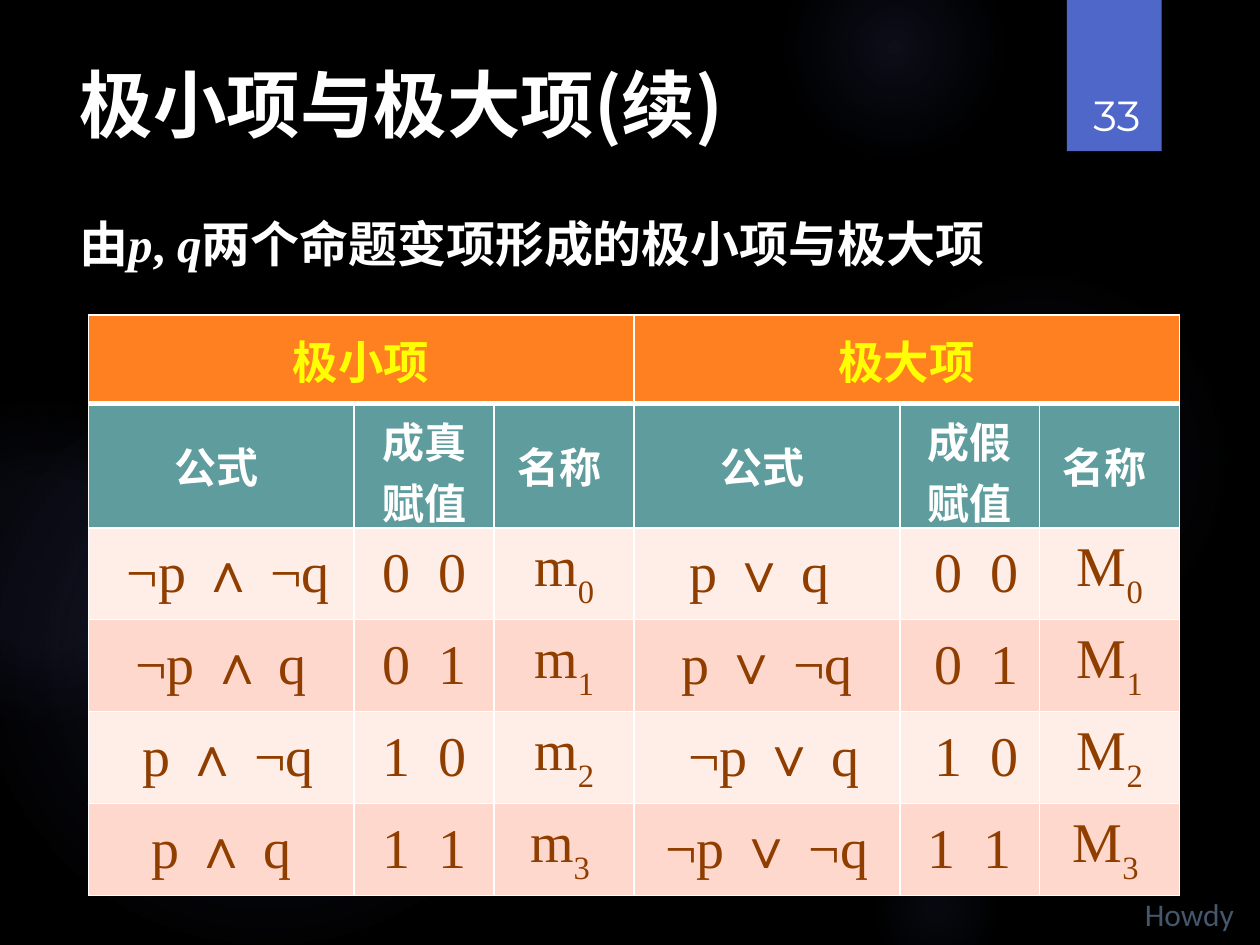
from lxml import etree
from pptx import Presentation
from pptx import util as u
from pptx.dml.color import RGBColor
from pptx.enum import shapes, text
from pptx.oxml import ns

Cm, Pt = u.Cm, u.Pt
hues = {"black": "000000", "white": "FFFFFF", "glow": "5968B0", "tag": "4E67C8",
        "foot": "45576C", "head": "FF8021", "gold": "FFFF00", "teal": "5F9C9D",
        "light": "FFEDE8", "dark": "FFD8CD", "brown": "903E00"}
cjk = "Noto Sans CJK SC"
serif = "Times New Roman"


def put(para, words, size, face, hue, bold=False, slant=False):
    run = para.add_run()
    run.text = words
    font = run.font
    font.size, font.name, font.bold, font.italic = Pt(size), face, bold, slant
    font.color.rgb = RGBColor.from_string(hues[hue])
    props = run._r.get_or_add_rPr()
    etree.SubElement(props, ns.qn("a:ea")).set("typeface", cjk)
    return props


def box(x, y, w, h, wrap=True):
    frame = slide.shapes.add_textbox(Cm(x), Cm(y), Cm(w), Cm(h)).text_frame
    frame.word_wrap = wrap
    return frame


prs = Presentation()
prs.slide_width, prs.slide_height = Cm(25.4), Cm(19.05)
slide = prs.slides.add_slide(prs.slide_layouts[5])
back = slide.background.fill
back.solid()
back.fore_color.rgb = RGBColor.from_string(hues["black"])

glows = [(17.02, 5.38, 7.82, 7, 7, 69), (15.8, -1.27, 4.45, 14, 7, 73),
         (17.5, 16.94, 2.74, 9, 5, 66), (-0.43, 7.42, 11.63, 11, 10, 75),
         (-2.34, 8.05, 6.55, 8, 8, 72)]
for x, y, size, core, mid, edge in glows:
    orb = slide.shapes.add_shape(shapes.MSO_SHAPE.OVAL, Cm(x), Cm(y), Cm(size), Cm(size))
    orb.shadow.inherit = False
    orb.line.fill.background()
    stops = "".join(
        f'<a:gs pos="{pos * 1000}"><a:srgbClr val="{hues["glow"]}">'
        f'<a:alpha val="{alpha * 1000}"/></a:srgbClr></a:gs>'
        for pos, alpha in [(0, core), (36, mid), (edge, 0)])
    grad = etree.fromstring(
        f'<a:gradFill {ns.nsdecls("a")} rotWithShape="1"><a:gsLst>{stops}</a:gsLst>'
        '<a:path path="circle"><a:fillToRect l="50000" t="50000" r="50000" b="50000"/>'
        '</a:path></a:gradFill>')
    orb._element.spPr.find(ns.qn("a:prstGeom")).addnext(grad)

tag = slide.shapes.add_shape(shapes.MSO_SHAPE.RECTANGLE, Cm(21.51), Cm(0), Cm(1.91), Cm(3.05))
tag.shadow.inherit = False
tag.fill.solid()
tag.fill.fore_color.rgb = RGBColor.from_string(hues["tag"])
tag.line.fill.background()

foot = box(22.83, 17.91, 2.57, 1.02, False)
put(foot.paragraphs[0], "Howdy", 18, "Calibri", "foot")

title = slide.shapes.title
title.left, title.top, title.width, title.height = Cm(1.35), Cm(1.27), Cm(19.61), Cm(2.54)
title.text_frame.vertical_anchor = text.MSO_ANCHOR.TOP
para = title.text_frame.paragraphs[0]
para.alignment = text.PP_ALIGN.LEFT
para.line_spacing = 0.9
put(para, "极小项与极大项(续)", 42, cjk, "white", True)
slide.shapes._spTree.append(title._element)

para = box(1.35, 4.32, 23.52, 14.15).paragraphs[0]
para.line_spacing = 0.9
for words, face, slant in [("由", cjk, False), ("p", serif, True), (", ", serif, False),
                           ("q", serif, True), ("两个命题变项形成的极小项与极大项", cjk, False)]:
    put(para, words, 28, face, "white", True, slant)

page = box(21.64, 0.81, 1.75, 2.13)
page.vertical_anchor = text.MSO_ANCHOR.BOTTOM
page.paragraphs[0].alignment = text.PP_ALIGN.CENTER
put(page.paragraphs[0], "33", 24, "Montserrat", "white")

grid = slide.shapes.add_table(6, 6, Cm(1.78), Cm(6.35), Cm(22), Cm(11.49)).table
for col, width in zip(grid.columns, [5.36, 2.82, 2.82] * 2):
    col.width = Cm(width)
for row, height in zip(grid.rows, [1.78, 2.51] + [1.8] * 4):
    row.height = Cm(height)

fills = ["head", "teal"] + ["light", "dark"] * 2
for r, row in enumerate(grid.rows):
    for cell in row.cells:
        cell.fill.solid()
        cell.fill.fore_color.rgb = RGBColor.from_string(hues[fills[r]])
        cell.vertical_anchor = text.MSO_ANCHOR.MIDDLE
        cell.text_frame.paragraphs[0].alignment = text.PP_ALIGN.CENTER
        if r == 0:
            cell.margin_top = cell.margin_bottom = 0
        for i, side in enumerate("LRTB"):
            thick = 3 if (r, side) in [(0, "B"), (1, "T")] else 1
            edge = etree.fromstring(
                f'<a:ln{side} {ns.nsdecls("a")} w="{Pt(thick)}"><a:solidFill>'
                f'<a:srgbClr val="{hues["white"]}"/></a:solidFill></a:ln{side}>')
            cell._tc.get_or_add_tcPr().insert(i, edge)

halves = [
    (0, "极小项", "成真赋值", "m", [" ¬p ∧ ¬q", "¬p ∧ q", " p ∧ ¬q", "p ∧ q"],
     ["00", "01", "10", "11"]),
    (3, "极大项", "成假赋值", "M", ["p ∨ q ", "p ∨ ¬q", " ¬p ∨ q", " ¬p ∨ ¬q "],
     [" 00", " 01", " 10", " 11 "])]
for left, name, value, sign, terms, codes in halves:
    grid.cell(0, left).merge(grid.cell(0, left + 2))
    put(grid.cell(0, left).text_frame.paragraphs[0], name, 26, "Arial", "gold", True)
    for i, words in enumerate(["公式 ", value, "名称 "]):
        put(grid.cell(1, left + i).text_frame.paragraphs[0], words, 24,
            "TeX Gyre Adventor", "white", True)
    for i, (term, code) in enumerate(zip(terms, codes)):
        form, bits, mark = [grid.cell(i + 2, left + k).text_frame.paragraphs[0]
                            for k in range(3)]
        put(form, term, 32, serif, "brown")
        cut = code.index(code.strip()) + 1
        put(bits, code[:cut], 32, serif, "brown")
        put(bits, " ", 32, serif, "brown").set("spc", "800")
        put(bits, code[cut:], 32, serif, "brown")
        put(mark, sign, 32, serif, "brown")
        low = f"{i} " if i == 3 else str(i)
        put(mark, low, 32, serif, "brown").set("baseline", "-30000")

prs.save("out.pptx")
